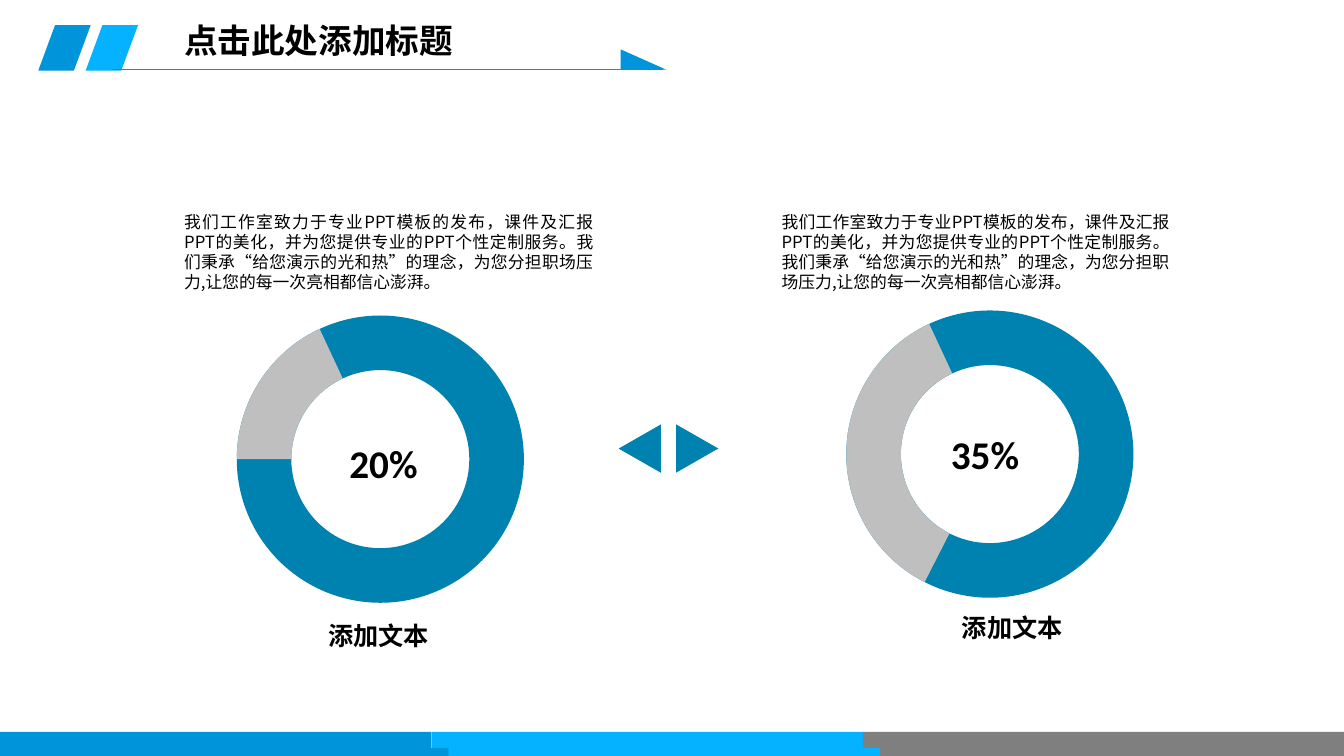
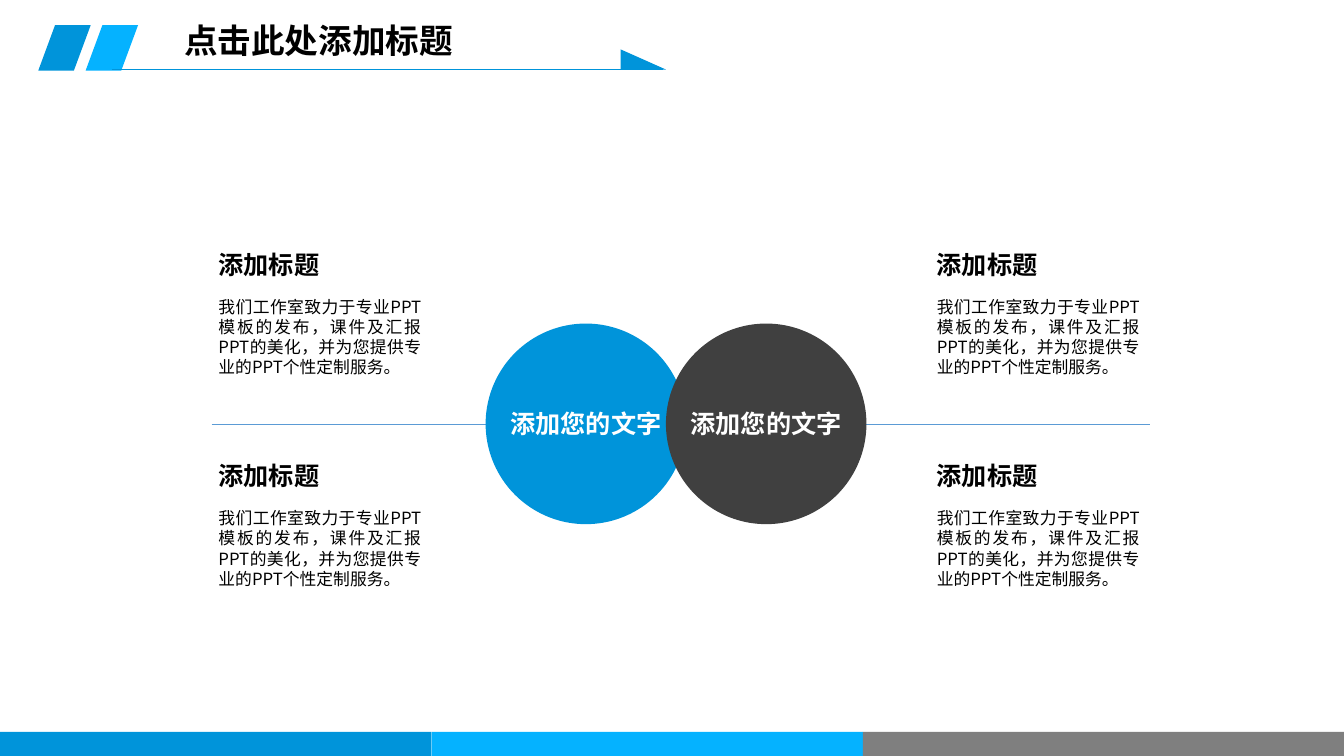
from dataclasses import dataclass

from lxml.etree import SubElement
from pptx import Presentation
from pptx.dml.color import RGBColor
from pptx.enum.shapes import MSO_CONNECTOR, MSO_SHAPE
from pptx.enum.text import MSO_ANCHOR, MSO_AUTO_SIZE, PP_ALIGN
from pptx.oxml.ns import qn
from pptx.util import Inches, Pt


@dataclass(frozen=True)
class Theme:
    """Colours, fonts and type sizes of the deck."""
    blue: str = "0094DA"
    sky: str = "05B2FF"
    grey: str = "7F7F7F"
    teal: str = "0082B0"
    pale: str = "BFBFBF"
    dark: str = "404040"
    rule: str = "5B9BD5"
    ink: str = "000000"
    white: str = "FFFFFF"
    han: str = "Noto Sans CJK SC"
    latin: str = "Calibri"
    title: int = 24
    big: int = 28
    head: int = 18
    body: int = 12


T = Theme()
CELL = Inches(0.1)
COLS, ROWS = 133.4, 75

TITLE = "点击此处添加标题"
SHORT = "我们工作室致力于专业PPT模板的发布，课件及汇报PPT的美化，并为您提供专业的PPT个性定制服务。"
LONG = SHORT + "我们秉承“给您演示的光和热”的理念，为您分担职场压力,让您的每一次亮相都信心澎湃。"


def grid(*cells):
    """Turn grid cells into lengths."""
    return [round(n * CELL) for n in cells]


def write(frame, text, size=T.body, font=T.han, color=T.ink, bold=False, align=PP_ALIGN.LEFT):
    """Put formatted text in a text frame."""
    para = frame.paragraphs[0]
    para.alignment = align
    run = para.add_run()
    run.text = text
    run.font.size = Pt(size)
    run.font.bold = bold
    run.font.name = font
    run.font.color.rgb = RGBColor.from_string(color)
    SubElement(run.font._element, qn("a:ea"), typeface=font)


def label(slide, box, text, **look):
    """Add a wrapped text box."""
    frame = slide.shapes.add_textbox(*grid(*box)).text_frame
    frame.word_wrap = True
    frame.auto_size = MSO_AUTO_SIZE.SHAPE_TO_FIT_TEXT
    write(frame, text, **look)


def block(slide, kind, box, color, adjust=(), turn=0):
    """Add a plain filled shape."""
    shape = slide.shapes.add_shape(kind, *grid(*box))
    shape.shadow.inherit = False
    shape.fill.solid()
    shape.fill.fore_color.rgb = RGBColor.from_string(color)
    shape.line.fill.background()
    shape.rotation = turn
    for i, value in enumerate(adjust):
        shape.adjustments[i] = value
    return shape


def rule(slide, left, right, top, color):
    """Draw a thin level line."""
    line = slide.shapes.add_connector(MSO_CONNECTOR.STRAIGHT, *grid(left, top, right, top))
    line.line.color.rgb = RGBColor.from_string(color)
    line.line.width = Pt(0.5)
    SubElement(line._element.spPr, qn("a:effectLst"))


def header(slide, left, top):
    """Place the slanted marks, the rule and the title."""
    for i, color in enumerate((T.blue, T.sky)):
        block(slide, MSO_SHAPE.PARALLELOGRAM, (left + 4.7 * i, top, 5.2, 4.5), color, [0.37])
    rule(slide, left + 7.3, left + 62, top + 4.4, T.blue)
    block(slide, MSO_SHAPE.ISOSCELES_TRIANGLE, (left + 57.8, top + 2.4, 4.5, 2), T.blue, [0])
    label(slide, (left + 13.5, top - 1, 30.4, 5), TITLE, size=T.title, bold=True)


def footer(slide, left, top):
    """Fill the foot of the slide with three bands."""
    step = 42.83
    for i, color in enumerate((T.blue, T.sky, T.grey)):
        x = left + step * i
        wide = step if i < 2 else COLS - x
        block(slide, MSO_SHAPE.RECTANGLE, (x, top, wide, ROWS - top), color)


def ring(slide, left, top, start, value, mid, foot):
    """Draw a ring with a pale arc, its value and its caption."""
    side, thick = 28.5, 0.19
    box = (left, top, side, side)
    block(slide, MSO_SHAPE.DONUT, box, T.teal, [thick])
    block(slide, MSO_SHAPE.BLOCK_ARC, box, T.pale, [start * 0.6, 245 * 0.6, thick])
    label(slide, (left + mid[0], top + mid[1], 9.6, 5.7), value,
          size=T.big, font=T.latin, bold=True)
    label(slide, (left + foot[0], top + foot[1], 13.9, 4), "添加文本", size=T.head, bold=True)


def arrows(slide, left, top):
    """Place two triangles that point apart."""
    for i, turn in enumerate((270, 90)):
        block(slide, MSO_SHAPE.ISOSCELES_TRIANGLE, (left + 5.7 * i, top, 4.8, 4.2),
              T.teal, turn=turn)


def entry(slide, left, top):
    """Place a heading over a short text."""
    label(slide, (left, top, 12.9, 4), "添加标题", size=T.head, bold=True)
    label(slide, (left, top + 4.7, 22.1, 9), SHORT, align=PP_ALIGN.JUSTIFY)


def pair(slide, left, top):
    """Place two overlapping discs on a level line."""
    rule(slide, left - 27.2, left + 65.9, top + 10, T.rule)
    for i, color in enumerate((T.blue, T.dark)):
        disc = block(slide, MSO_SHAPE.OVAL, (left + 17.9 * i, top, 19.9, 19.9), color)
        frame = disc.text_frame
        frame.word_wrap = False
        frame.vertical_anchor = MSO_ANCHOR.MIDDLE
        write(frame, "添加您的文字", size=T.head, color=T.white, bold=True,
              align=PP_ALIGN.CENTER)


def rings(slide):
    """Build the slide of two rings."""
    ring(slide, 84, 30.8, 117, "35%", (9.4, 11.4), (10.5, 29.5))
    ring(slide, 23.5, 31.3, 180, "20%", (10.2, 11.8), (8.1, 29.8))
    arrows(slide, 61.1, 42.4)
    for left, wide in ((17.3, 42.6), (76.6, 40.5)):
        label(slide, (left, 20.5, wide, 9), LONG, align=PP_ALIGN.JUSTIFY)
    footer(slide, 0, 72.6)
    footer(slide, 1.7, 74.2)


def discs(slide):
    """Build the slide of two discs and four entries."""
    pair(slide, 48.2, 32.1)
    for top in (24.2, 45.2):
        for left in (20.7, 92):
            entry(slide, left, top)
    footer(slide, 0, 72.6)


def main():
    """Build and save the deck."""
    deck = Presentation()
    deck.slide_width, deck.slide_height = grid(COLS, ROWS)
    for build in (rings, discs):
        slide = deck.slides.add_slide(deck.slide_layouts[6])
        header(slide, 3.8, 2.5)
        build(slide)
    deck.save("out.pptx")


if __name__ == "__main__":
    main()
